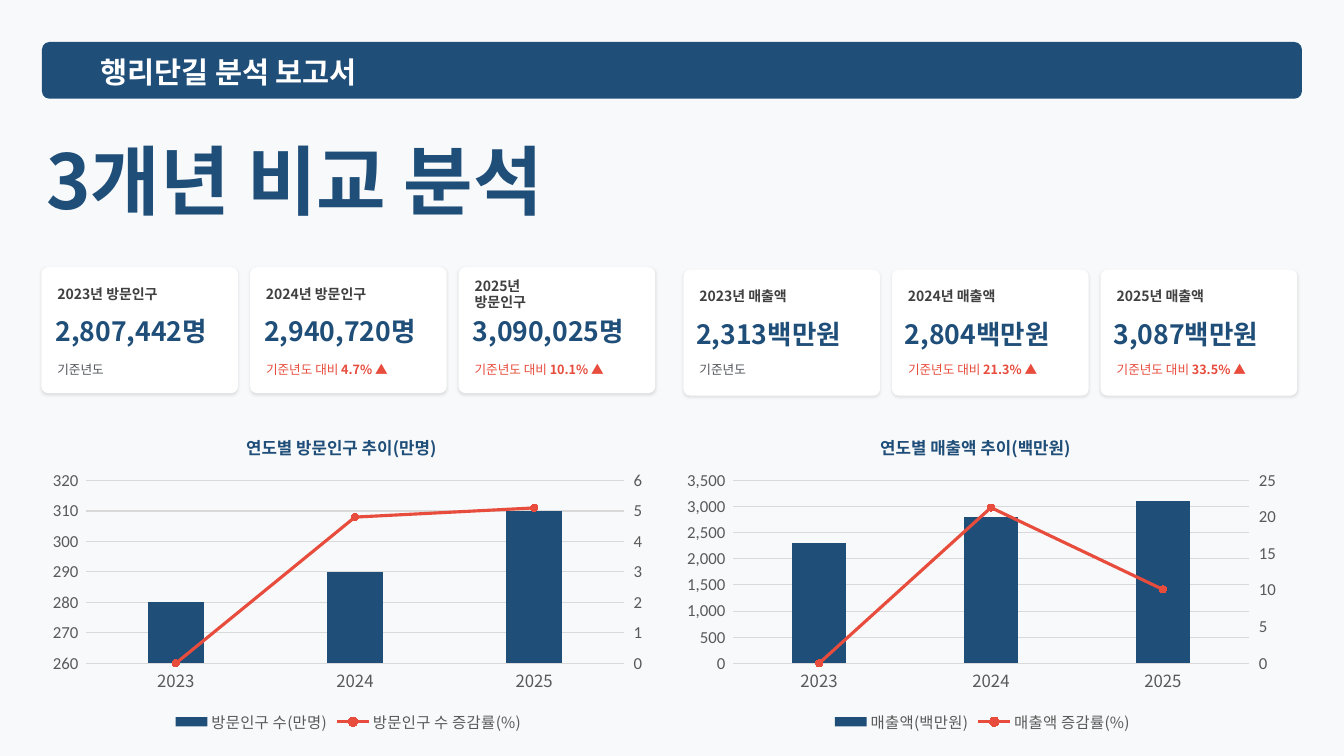
import copy

import lxml.etree
import pptx
import pptx.chart.axis
import pptx.chart.data
import pptx.dml.color
import pptx.enum.chart
import pptx.enum.shapes
import pptx.enum.text
import pptx.oxml
import pptx.oxml.ns
import pptx.util

Pt = pptx.util.Pt
qn = pptx.oxml.ns.qn
KOREAN, LATIN = "Noto Sans CJK KR", "Calibri"
CHART_WIDTH, CHART_HEIGHT = 438.5, 228.2
COLORS = {
    "page": "F8F9FA", "navy": "1F4E79", "red": "E74C3C", "white": "FFFFFF", "label": "404040",
    "note": "51545A", "axis": "595959", "grid": "D9D9D9", "black": "000000",
}
FORMATS = {
    "banner": {"size": Pt(21), "bold": True, "color": "white"},
    "title": {"size": Pt(54), "bold": True, "color": "navy"},
    "label": {"size": Pt(10), "bold": True, "color": "label"},
    "value": {"size": Pt(19), "bold": True, "color": "navy"},
    "note": {"size": Pt(9), "color": "note"},
    "change": {"size": Pt(9), "color": "red"},
    "percent": {"size": Pt(9), "bold": True, "color": "red"},
    "chart": {"size": Pt(10), "name": LATIN, "color": "black"},
    "chart title": {"size": Pt(12), "bold": True, "color": "navy"},
    "years": {"size": Pt(12), "color": "axis"},
    "numbers": {"size": Pt(12), "name": LATIN, "color": "axis"},
    "legend": {"size": Pt(11), "color": "axis"},
}


def rgb(name):
    return pptx.dml.color.RGBColor.from_string(COLORS[name])


def apply_format(font, kind):
    values = {"name": KOREAN, **FORMATS[kind]}
    font.color.rgb = rgb(values.pop("color"))
    for name, value in values.items():
        setattr(font, name, value)


def place(element, position, left, top, size=None):
    """Give a chart part a manual layout, from points within the chart."""
    for layout in element.xpath("c:layout"):
        element.remove(layout)
    layout = lxml.etree.Element(qn("c:layout"))
    manual = lxml.etree.SubElement(layout, qn("c:manualLayout"))
    settings = {"xMode": "edge", "yMode": "edge", "x": left / CHART_WIDTH, "y": top / CHART_HEIGHT}
    if size:
        width, height = size
        settings = {"layoutTarget": "inner", **settings,
                    "w": width / CHART_WIDTH, "h": height / CHART_HEIGHT}
    for tag, value in settings.items():
        lxml.etree.SubElement(manual, qn(f"c:{tag}"), val=str(value))
    element.insert(position, layout)


def move_to_line(chart):
    """Turn the second series into a line; return the left and right value axes."""
    area = chart._chartSpace.xpath(".//c:plotArea")[0]
    bars = area.xpath("c:barChart")[0]
    series = bars.xpath("c:ser")[1]
    for flag in series.xpath("c:invertIfNegative"):
        series.remove(flag)
    line = lxml.etree.Element(qn("c:lineChart"))
    lxml.etree.SubElement(line, qn("c:grouping"), val="standard")
    lxml.etree.SubElement(line, qn("c:varyColors"), val="0")
    line.append(series)
    lxml.etree.SubElement(line, qn("c:marker"), val="1")
    for number in ("5001", "5002"):
        lxml.etree.SubElement(line, qn("c:axId"), val=number)
    bars.addnext(line)

    years, numbers = area.xpath("c:catAx")[0], area.xpath("c:valAx")[0]
    hidden, right = copy.deepcopy(years), copy.deepcopy(numbers)
    numbers.addnext(right)
    right.addnext(hidden)
    changes = {
        hidden: {"axId": "5001", "crossAx": "5002", "delete": "1"},
        right: {"axId": "5002", "crossAx": "5001", "axPos": "r", "crosses": "max"},
    }
    for axis, settings in changes.items():
        for tag, value in settings.items():
            axis.xpath(f"c:{tag}")[0].set("val", value)
    return [pptx.chart.axis.ValueAxis(axis) for axis in (numbers, right)]


class Slide:
    def __init__(self, deck):
        self.page = deck.slides.add_slide(deck.slide_layouts[6])
        self.page.background.fill.solid()
        self.page.background.fill.fore_color.rgb = rgb("page")

    def panel(self, left, top, width, height, color, corner, shadow=False):
        kind = pptx.enum.shapes.MSO_SHAPE.ROUNDED_RECTANGLE
        box = self.page.shapes.add_shape(kind, Pt(left), Pt(top), Pt(width), Pt(height))
        box.adjustments[0] = corner
        box.fill.solid()
        box.fill.fore_color.rgb = rgb(color)
        box.line.fill.background()
        box.shadow.inherit = False
        if shadow:
            effects = box._element.spPr.find(qn("a:effectLst"))
            outer = lxml.etree.SubElement(
                effects, qn("a:outerShdw"), blurRad=str(Pt(2)), dist=str(Pt(1)),
                dir="5400000", algn="bl", rotWithShape="0")
            tone = lxml.etree.SubElement(outer, qn("a:srgbClr"), val=COLORS["black"])
            lxml.etree.SubElement(tone, qn("a:alpha"), val="10000")

    def text(self, left, top, width, height, *spans):
        """Add one paragraph of (text, format) spans, centred vertically."""
        box = self.page.shapes.add_textbox(Pt(left), Pt(top), Pt(width), Pt(height))
        frame = box.text_frame
        settings = {"word_wrap": True, "vertical_anchor": pptx.enum.text.MSO_ANCHOR.MIDDLE,
                    "margin_left": 0, "margin_top": 0, "margin_right": 0, "margin_bottom": 0}
        for name, value in settings.items():
            setattr(frame, name, value)
        for words, kind in spans:
            span = frame.paragraphs[0].add_run()
            span.text = words
            apply_format(span.font, kind)

    def card(self, left, top, label, label_width, value, value_inset, percent):
        self.panel(left, top, 140.4, 90, "white", 0.053, shadow=True)
        self.text(left + 11.4, top + 13, label_width, 12.2, (label, "label"))
        self.text(left + value_inset, top + 35.3, 140.4, 20.9, (value, "value"))
        spans = [("기준년도", "note")]
        if percent:
            spans = [("기준년도 대비 ", "change"), (f"{percent} ▲", "percent")]
        self.text(left + 11.4, 256.3, 126, 15.1, *spans)

    def number_axis(self, axis, scale, number_format, ticks):
        axis.minimum_scale, axis.maximum_scale, axis.major_unit = scale
        axis.major_tick_mark = ticks
        axis.format.line.fill.background()
        axis.tick_labels.number_format = number_format
        axis.tick_labels.number_format_is_linked = False
        apply_format(axis.tick_labels.font, "numbers")

    def chart(self, left, title, amounts, growth, scale, right_scale, number_format, plot):
        """Draw columns with a growth line on a second axis."""
        kinds = pptx.enum.chart
        data = pptx.chart.data.CategoryChartData()
        data.categories = ["2023", "2024", "2025"]
        for name, values in (amounts, growth):
            data.add_series(name, values)
        chart = self.page.shapes.add_chart(
            kinds.XL_CHART_TYPE.COLUMN_CLUSTERED, Pt(left), Pt(298.1),
            Pt(CHART_WIDTH), Pt(CHART_HEIGHT), data).chart
        amount_axis, growth_axis = move_to_line(chart)
        apply_format(chart.font, "chart")

        chart.has_title = True
        span = chart.chart_title.text_frame.paragraphs[0].add_run()
        span.text = title
        apply_format(span.font, "chart title")
        place(chart.chart_title._element, 1, 144, 8.6)
        place(chart._chartSpace.xpath(".//c:plotArea")[0], 0, *plot)

        bars, line = chart.plots
        bars.gap_width = 219
        bars.vary_by_categories = False
        fill = bars.series[0].format.fill
        fill.solid()
        fill.fore_color.rgb = rgb("navy")
        rate = line.series[0]
        rate.smooth = False
        rate.format.line.width = Pt(2.25)
        rate.format.line.color.rgb = rgb("red")
        rate.marker.style, rate.marker.size = kinds.XL_MARKER_STYLE.CIRCLE, 5
        rate.marker.format.fill.solid()
        rate.marker.format.fill.fore_color.rgb = rgb("red")
        rate.marker.format.line.color.rgb = rgb("red")

        none, out = kinds.XL_TICK_MARK.NONE, kinds.XL_TICK_MARK.OUTSIDE
        self.number_axis(amount_axis, scale, number_format, none)
        self.number_axis(growth_axis, right_scale, "General", out)
        growth_axis.has_major_gridlines = False
        years = chart.category_axis
        years.major_tick_mark = none
        apply_format(years.tick_labels.font, "years")
        for rule in (years.format.line, amount_axis.major_gridlines.format.line):
            rule.color.rgb = rgb("grid")
            rule.width = Pt(0.75)
        chart.has_legend = True
        chart.legend.position = kinds.XL_LEGEND_POSITION.BOTTOM
        chart.legend.include_in_layout = False
        apply_format(chart.legend.font, "legend")


def main():
    deck = pptx.Presentation()
    deck.slide_width, deck.slide_height = Pt(960), Pt(540)
    slide = Slide(deck)
    visitors = [("2,807,442명", None, 80), ("2,940,720명", "4.7%", 78), ("3,090,025명", "10.1%", 71)]
    sales = [("2,313백만원", None, 69), ("2,804백만원", "21.3%", 69), ("3,087백만원", "33.5%", 69)]
    groups = [(29.6, 190.8, "방문인구", 10.1, visitors), (488.2, 192.6, "매출액", 9.2, sales)]
    for left, top, topic, inset, cards in groups:
        for index, (value, percent, width) in enumerate(cards):
            label = f"{2023 + index}년 {topic}"
            slide.card(left + 149 * index, top, label, width, value, inset, percent)

    slide.panel(30, 30, 900, 40.5, "navy", 0.132)
    slide.text(71.6, 35.6, 817, 31, ("행리단길 분석 보고서", "banner"))
    slide.text(33.1, 88.6, 455, 78.5, ("3개년 비교 분석", "title"))

    slide.chart(29.6, "연도별 방문인구 추이(만명)",
                ("방문인구 수(만명)", (280, 290, 310)), ("방문인구 수 증감률(%)", (0, 4.8, 5.1)),
                (260, 320, 10), (0, 6, 1), r"#,##0_);[Red]\(#,##0\)", (32, 45.2, (384, 130.6)))
    slide.chart(482.5, "연도별 매출액 추이(백만원)",
                ("매출액(백만원)", (2300, 2800, 3100)), ("매출액 증감률(%)", (0, 21.3, 10.1)),
                (0, 3500, 500), (0, 25, 5), "#,##0_ ", (41.2, 45.2, (368.4, 130.6)))
    deck.save("out.pptx")


if __name__ == "__main__":
    main()
